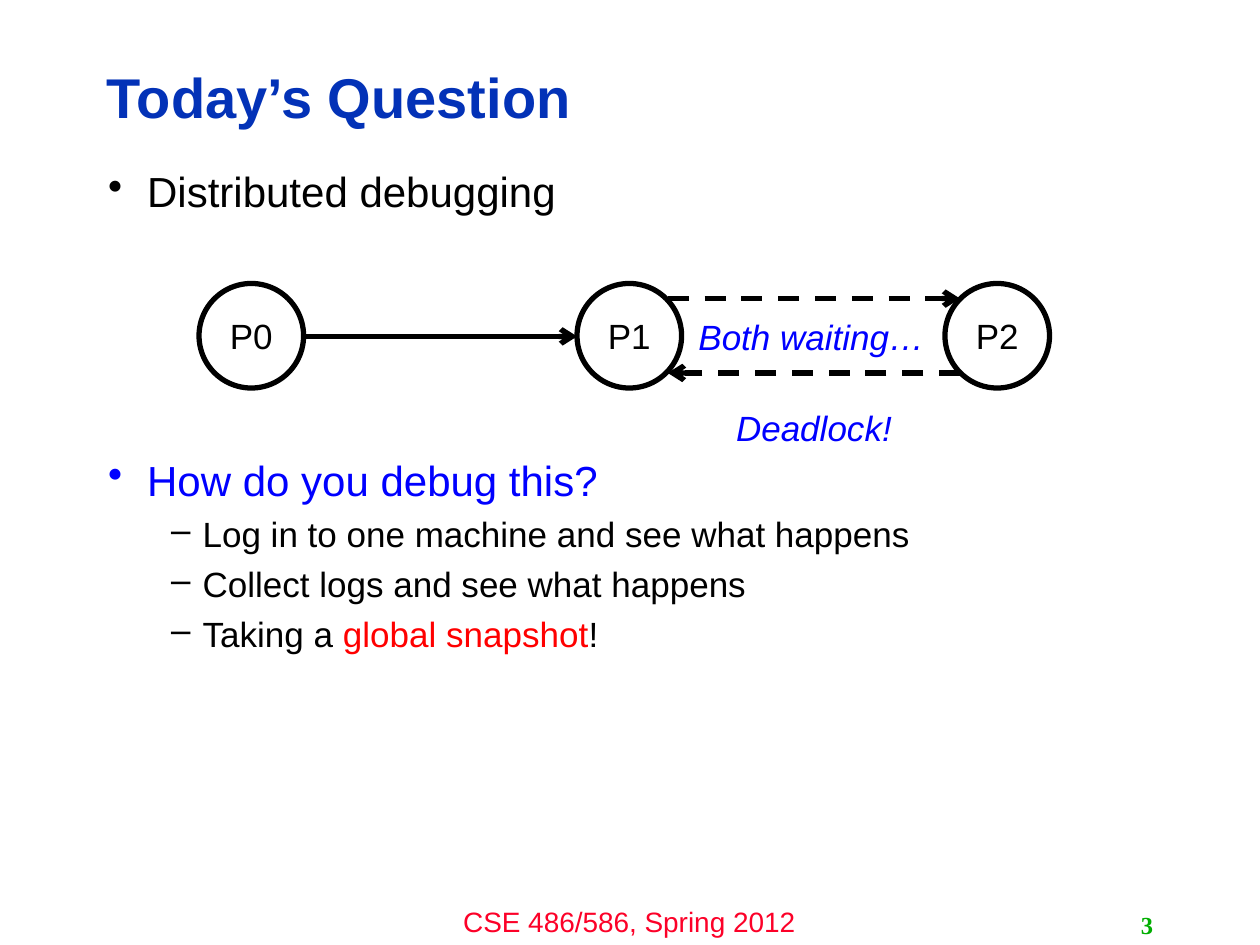
from lxml import etree
from pptx import Presentation
from pptx.dml.color import RGBColor
from pptx.enum import dml, shapes, text
from pptx.oxml import ns
from pptx.util import Inches, Pt

COLORS = {"title": "0332B7", "ink": "000000", "blue": "0000FF", "red": "FF0000",
          "foot": "FC0128", "page": "00AE00", "paper": "FFFFFF"}
LEFT, MID, RIGHT = text.PP_ALIGN.LEFT, text.PP_ALIGN.CENTER, text.PP_ALIGN.RIGHT

# text, box, size, color, alignment, style
LABELS = [
    ("Today’s Question", (0.75, 0.36, 7.98, 0.81), 32, "title", LEFT, {"bold": True}),
    ("CSE 486/586, Spring 2012", (3.33, 7.13, 3.33, 0.37), 16, "foot", MID, {}),
    ("3", (7.17, 7.18, 2.08, 0.32), 14, "page", RIGHT,
     {"bold": True, "name": "Times New Roman"}),
    ("Deadlock!", (5.17, 3.17, 2.58, 0.44), 20, "blue", MID, {"italic": True}),
    ("Both waiting…", (5.15, 2.45, 2.58, 0.44), 20, "blue", MID, {"italic": True}),
]
# box, then points of (level, runs)
LISTS = [
    ((0.76, 1.31, 8.4, 0.6), [(0, [("Distributed debugging", "ink")])]),
    ((0.76, 3.6, 8.4, 3.1), [
        (0, [("How do you debug this?", "blue")]),
        (1, [("Log in to one machine and see what happens", "ink")]),
        (1, [("Collect logs and see what happens", "ink")]),
        (1, [("Taking a ", "ink"), ("global snapshot", "red"), ("!", "ink")]),
    ]),
]
# mark, size, margin, hanging indent
LEVELS = [("•", 24, 0.31, 0.31), ("–", 20, 0.75, 0.25)]
NODES = [("P0", 1.58), ("P1", 4.58), ("P2", 7.5)]
TOP, SIZE = 2.25, 0.83
# start, end, dashed
ARROWS = [((2.42, 2.67), (4.58, 2.67), False),
          ((5.3, 2.37), (7.62, 2.37), True),
          ((7.62, 2.96), (5.3, 2.96), True)]


def color(name):
    """Return a named color."""
    return RGBColor.from_string(COLORS[name])


def style(run, size, tone, name="Arial", bold=False, italic=False):
    """Set the font of a run."""
    font = run.font
    font.name, font.size, font.bold, font.italic = name, Pt(size), bold, italic
    font.color.rgb = color(tone)


def add_box(slide, box):
    """Add a wrapping text box and return its frame."""
    frame = slide.shapes.add_textbox(*map(Inches, box)).text_frame
    frame.word_wrap = True
    return frame


def add_label(slide, words, box, size, tone, align, look):
    """Add a single line of text."""
    frame = add_box(slide, box)
    frame.vertical_anchor = text.MSO_ANCHOR.MIDDLE
    frame.text = words
    para = frame.paragraphs[0]
    para.alignment = align
    style(para.runs[0], size, tone, **look)


def add_list(slide, box, points):
    """Add a bulleted list."""
    frame = add_box(slide, box)
    for i, (level, runs) in enumerate(points):
        para = frame.add_paragraph() if i else frame.paragraphs[0]
        mark, size, margin, hang = LEVELS[level]
        para.level, para.line_spacing = level, 0.9
        para.space_before = Pt(7 if i else 0)
        props = para._p.get_or_add_pPr()
        props.set("marL", str(Inches(margin)))
        props.set("indent", str(-Inches(hang)))
        etree.SubElement(props, ns.qn("a:buChar")).set("char", mark)
        for words, tone in runs:
            run = para.add_run()
            run.text = words
            style(run, size, tone)


def add_node(slide, name, left):
    """Add a process circle."""
    node = slide.shapes.add_shape(shapes.MSO_SHAPE.OVAL,
                                  *map(Inches, (left, TOP, SIZE, SIZE)))
    node.shadow.inherit = False
    node.fill.solid()
    node.fill.fore_color.rgb = color("paper")
    node.line.color.rgb, node.line.width = color("ink"), Pt(3)
    frame = node.text_frame
    frame.text = name
    frame.vertical_anchor = text.MSO_ANCHOR.MIDDLE
    frame.paragraphs[0].alignment = MID
    style(frame.paragraphs[0].runs[0], 20, "ink")


def add_arrow(slide, start, end, dashed):
    """Add a message arrow."""
    arrow = slide.shapes.add_connector(shapes.MSO_CONNECTOR.STRAIGHT,
                                       *map(Inches, start + end))
    line = arrow.line
    line.color.rgb, line.width = color("ink"), Pt(3)
    if dashed:
        line.dash_style = dml.MSO_LINE.DASH
    etree.SubElement(line._get_or_add_ln(), ns.qn("a:tailEnd")).set("type", "arrow")
    etree.SubElement(arrow._element.spPr, ns.qn("a:effectLst"))


def main():
    """Build the slide."""
    deck = Presentation()
    deck.slide_width, deck.slide_height = Inches(10), Inches(7.5)
    slide = deck.slides.add_slide(deck.slide_layouts[6])
    for entry in LISTS:
        add_list(slide, *entry)
    for node in NODES:
        add_node(slide, *node)
    for arrow in ARROWS:
        add_arrow(slide, *arrow)
    for label in LABELS:
        add_label(slide, *label)
    deck.save("out.pptx")


main()
